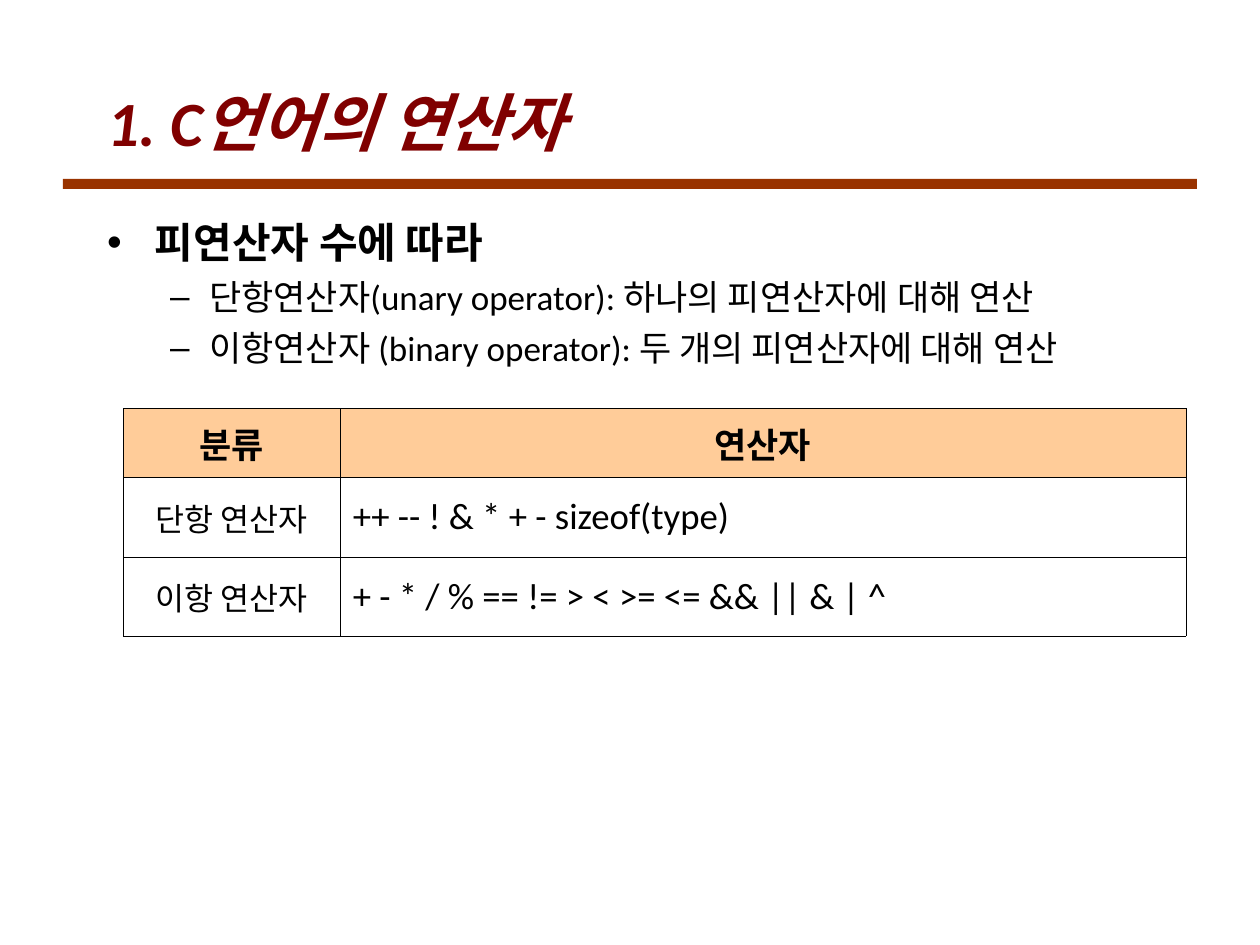
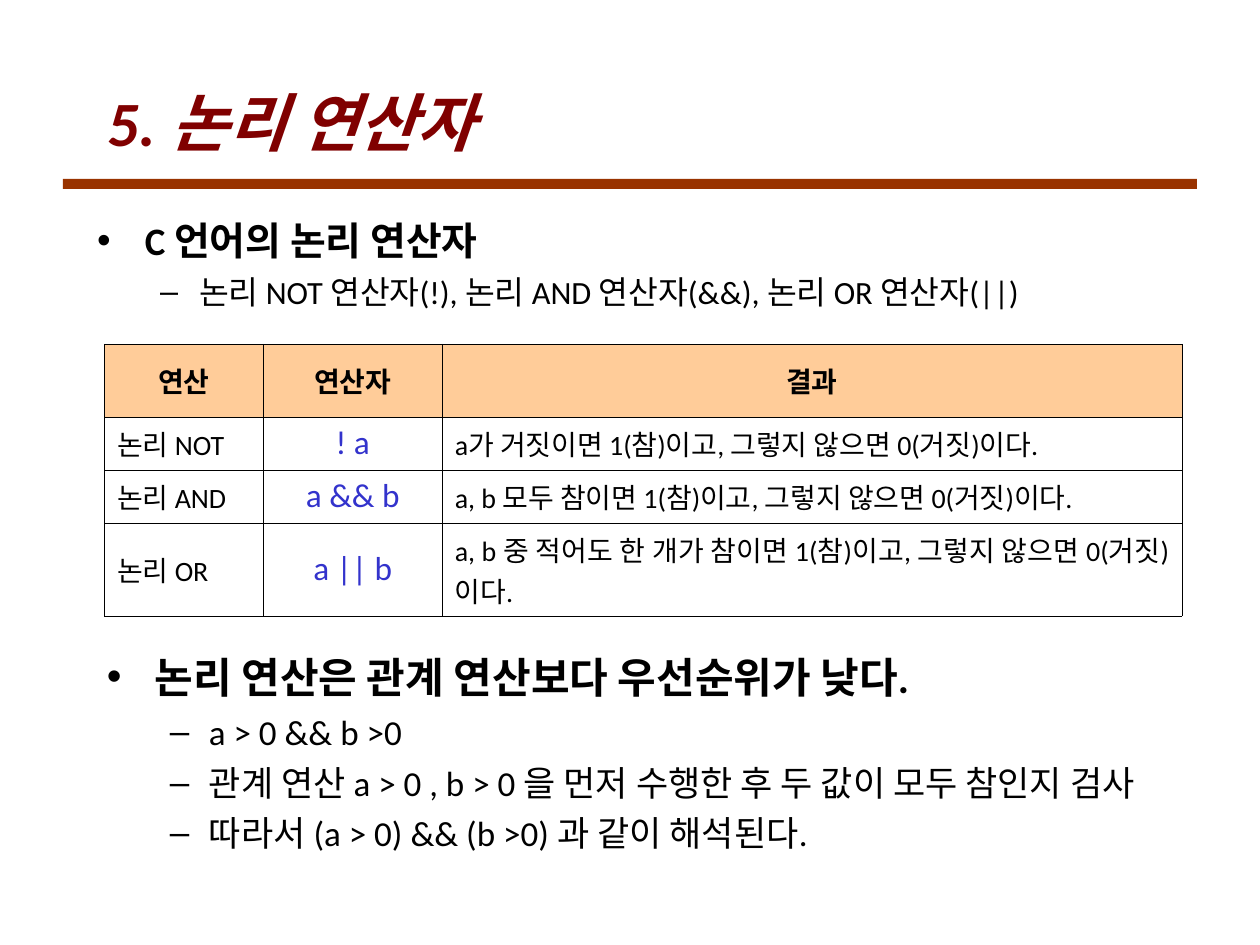
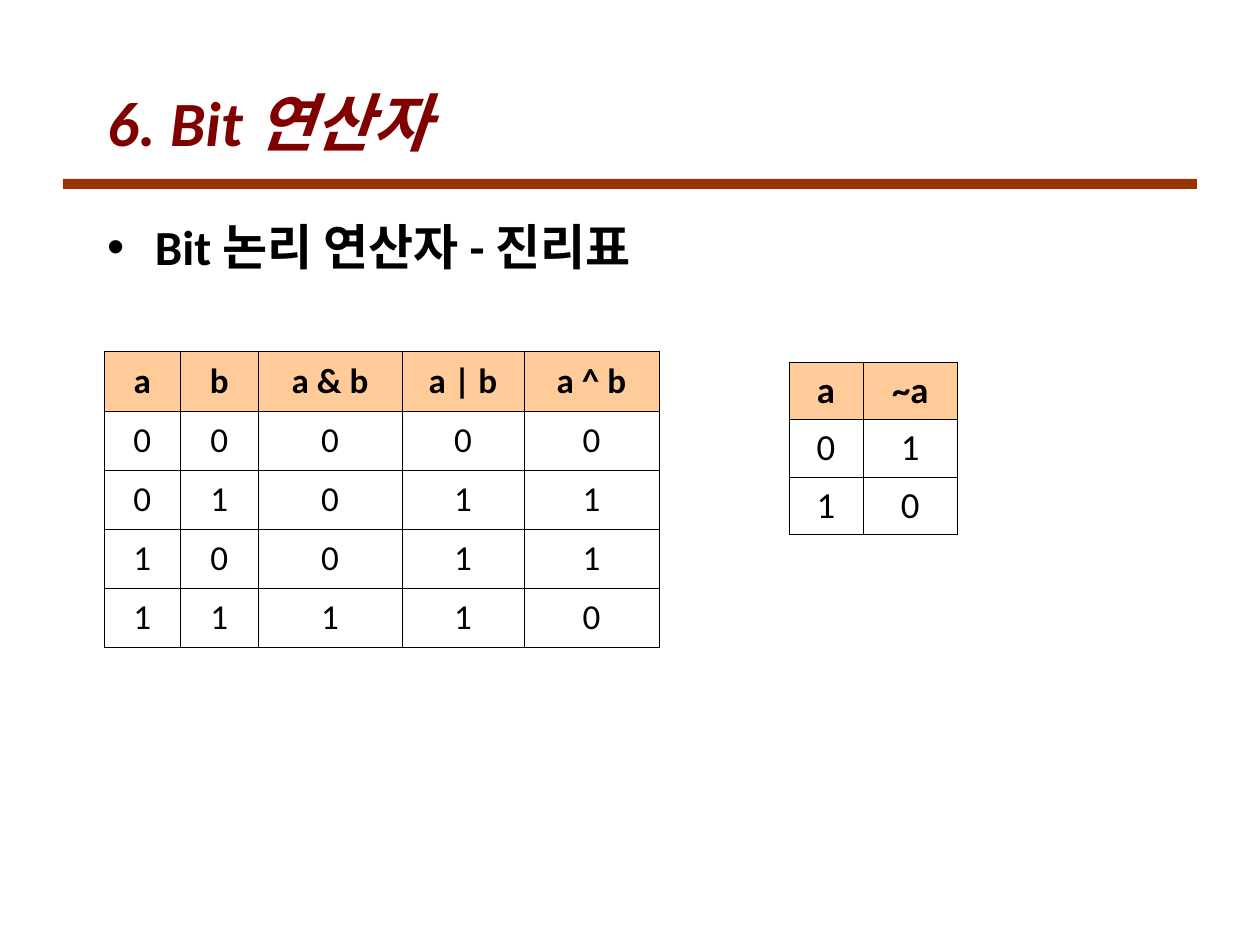
from dataclasses import dataclass

from lxml.etree import SubElement
from pptx import Presentation
from pptx.dml.color import RGBColor
from pptx.enum.shapes import MSO_SHAPE as Shape
from pptx.enum.text import MSO_ANCHOR as Anchor
from pptx.enum.text import MSO_AUTO_SIZE as AutoSize
from pptx.enum.text import PP_ALIGN as Align
from pptx.oxml.ns import qn
from pptx.util import Inches, Pt

FONT = "Calibri"
BLACK = "000000"
MAROON = "800000"
RUST = "993300"
PEACH = "FFCC99"
BLUE = "3333CC"
BORDER = Pt(0.06)
TITLE_AREA = (0.75, 0.5, 8.5, 0.92)
BODY_AREA = (0.75, 1.67, 8.5, 5.17)
BAND_AREA = (0.5, 1.42, 9, 0.08)


@dataclass(frozen=True)
class BulletLevel:
    """Look of one list level."""
    mark: str
    margin: float
    indent: float
    space: float
    bold: bool


@dataclass(frozen=True)
class Bullets:
    """A list whose first line is the heading of the others."""
    heading: str
    details: tuple = ()
    heading_size: float = 24
    detail_size: float = 20
    area: tuple = BODY_AREA


@dataclass(frozen=True)
class Column:
    """Width and body text style of a table column."""
    width: float
    size: float = 20
    align: Align = Align.CENTER
    color: str = BLACK


@dataclass(frozen=True)
class Grid:
    """A table with a header row."""
    left: float
    top: float
    columns: tuple
    heights: tuple
    rows: tuple
    header_size: float = 20


@dataclass(frozen=True)
class Page:
    """Content of one slide."""
    title: str
    body: Bullets
    grids: tuple
    notes: tuple = ()


LEVELS = (BulletLevel("•", 0.38, -0.38, 6, True),
          BulletLevel("–", 0.81, -0.31, 5, False))

PAGES = (
    Page(
        "1. C언어의 연산자",
        Bullets("피연산자 수에 따라",
                ("단항연산자(unary operator): 하나의 피연산자에 대해 연산",
                 "이항연산자 (binary operator): 두 개의 피연산자에 대해 연산")),
        (Grid(0.98, 3.24,
              (Column(1.72, 18), Column(6.71, 21, Align.JUSTIFY)),
              (0.55, 0.63, 0.63),
              (("분류", "연산자"),
               ("단항 연산자", "++ -- ! & * + - sizeof(type)"),
               ("이항 연산자", "+ - * / % == != > < >= <= && || & | ^"))),),
    ),
    Page(
        "5. 논리 연산자",
        Bullets("C 언어의 논리 연산자",
                ("논리 NOT 연산자(!), 논리 AND 연산자(&&), 논리 OR 연산자(||)",),
                22.2, 18.5, (0.67, 1.67, 8.5, 0.98)),
        (Grid(0.83, 2.73,
              (Column(1.26, 16, Align.JUSTIFY), Column(1.42, 19, color=BLUE),
               Column(5.87, 16, Align.JUSTIFY)),
              (0.58, 0.42, 0.42, 0.66),
              (("연산", "연산자", "결과"),
               ("논리 NOT", "! a",
                "a가 거짓이면 1(참)이고, 그렇지 않으면 0(거짓)이다."),
               ("논리 AND", "a && b",
                "a, b 모두 참이면 1(참)이고, 그렇지 않으면 0(거짓)이다."),
               ("논리 OR", "a || b",
                "a, b 중 적어도 한 개가 참이면 1(참)이고, "
                "그렇지 않으면 0(거짓)이다.")),
              16),),
        (Bullets("논리 연산은 관계 연산보다 우선순위가 낮다.",
                 ("a > 0 && b >0",
                  "관계 연산 a > 0 , b > 0 을 먼저 수행한 후 두 값이 모두 참인지 검사",
                  "따라서 (a > 0) && (b >0) 과 같이 해석된다."),
                 area=(0.75, 5.12, 8.97, 2.17)),),
    ),
    Page(
        "6. Bit 연산자",
        Bullets("Bit 논리 연산자 - 진리표", heading_size=28),
        (Grid(0.83, 2.79,
              tuple(Column(width) for width in (0.6, 0.62, 1.14, 0.97, 1.07)),
              (0.47,) * 5,
              (("a", "b", "a & b", "a | b", "a ^ b"),
               *((str(a), str(b), str(a & b), str(a | b), str(a ^ b))
                 for a in (0, 1) for b in (0, 1)))),
         Grid(6.26, 2.87, (Column(0.59, 21), Column(0.75, 21)), (0.45,) * 3,
              (("a", "~a"), ("0", "1"), ("1", "0")), 21)),
    ),
)


def rgb(color: str) -> RGBColor:
    """Turn a hex string into a colour."""
    return RGBColor.from_string(color)


def place(shape, area: tuple) -> None:
    """Move and size a shape by its area in inches."""
    for name, length in zip(("left", "top", "width", "height"), area):
        setattr(shape, name, Inches(length))


def write(para, text: str, color: str = BLACK, **formats) -> None:
    """Add a span of text with the given font values."""
    span = para.add_run()
    span.text = text
    span.font.color.rgb = rgb(color)
    for name, value in {"name": FONT, **formats}.items():
        setattr(span.font, name, value)


def fill_title(title, text: str) -> None:
    """Place and write a slide title."""
    place(title, TITLE_AREA)
    frame = title.text_frame
    frame.vertical_anchor = Anchor.MIDDLE
    frame.auto_size = AutoSize.NONE
    para = frame.paragraphs[0]
    para.alignment = Align.LEFT
    write(para, text, MAROON, size=Pt(36), bold=True, italic=True)


def fill_bullets(box, bullets: Bullets) -> None:
    """Place a box and write a two-level list into it."""
    place(box, bullets.area)
    frame = box.text_frame
    frame.word_wrap = True
    frame.auto_size = AutoSize.NONE
    for index, text in enumerate((bullets.heading, *bullets.details)):
        para = frame.add_paragraph() if index else frame.paragraphs[0]
        para.level = min(index, 1)
        level = LEVELS[para.level]
        props = para._p.get_or_add_pPr()
        props.set("marL", str(Inches(level.margin)))
        props.set("indent", str(Inches(level.indent)))
        SubElement(props, qn("a:buFont"), typeface="Arial")
        SubElement(props, qn("a:buChar"), char=level.mark)
        para.space_before = Pt(level.space if index else 0)
        size = bullets.detail_size if index else bullets.heading_size
        write(para, text, size=Pt(size), bold=level.bold)


def add_borders(cell) -> None:
    """Draw a hairline on every side of a cell."""
    props = cell._tc.get_or_add_tcPr()
    for side in ("lnL", "lnR", "lnT", "lnB"):
        line = SubElement(props, qn(f"a:{side}"), w=str(BORDER))
        fill = SubElement(line, qn("a:solidFill"))
        SubElement(fill, qn("a:srgbClr"), val=BLACK)


def fill_cell(cell, text: str, column: Column, header_size: float | None) -> None:
    """Style and write one cell; a header size makes it a header."""
    add_borders(cell)
    cell.vertical_anchor = Anchor.MIDDLE
    para = cell.text_frame.paragraphs[0]
    if header_size:
        cell.fill.solid()
        cell.fill.fore_color.rgb = rgb(PEACH)
        para.alignment = Align.CENTER
        write(para, text, size=Pt(header_size), bold=True)
    else:
        cell.fill.background()
        para.alignment = column.align
        write(para, text, column.color, size=Pt(column.size), bold=False)


def add_grid(slide, grid: Grid) -> None:
    """Add a table with a coloured header row."""
    width = sum(column.width for column in grid.columns)
    frame = slide.shapes.add_table(
        len(grid.rows), len(grid.columns), Inches(grid.left), Inches(grid.top),
        Inches(width), Inches(sum(grid.heights)))
    table = frame.table
    table.horz_banding = False
    for index, column in enumerate(grid.columns):
        table.columns[index].width = Inches(column.width)
    for row, (height, texts) in enumerate(zip(grid.heights, grid.rows)):
        table.rows[row].height = Inches(height)
        for index, (column, text) in enumerate(zip(grid.columns, texts)):
            header_size = None if row else grid.header_size
            fill_cell(table.cell(row, index), text, column, header_size)


def add_band(slide) -> None:
    """Add the band under the title."""
    band = slide.shapes.add_shape(
        Shape.RECTANGLE, *(Inches(length) for length in BAND_AREA))
    band.shadow.inherit = False
    band.fill.solid()
    band.fill.fore_color.rgb = rgb(RUST)
    band.line.fill.background()


def add_page(deck, page: Page) -> None:
    """Add one slide with its title, lists and tables."""
    slide = deck.slides.add_slide(deck.slide_layouts[1])
    add_band(slide)
    fill_title(slide.shapes.title, page.title)
    fill_bullets(slide.placeholders[1], page.body)
    for grid in page.grids:
        add_grid(slide, grid)
    for note in page.notes:
        box = slide.shapes.add_textbox(0, 0, 0, 0)
        fill_bullets(box, note)


def main() -> None:
    """Build and save the deck."""
    deck = Presentation()
    deck.slide_width = Inches(10)
    deck.slide_height = Inches(7.5)
    for page in PAGES:
        add_page(deck, page)
    deck.save("out.pptx")


if __name__ == "__main__":
    main()
